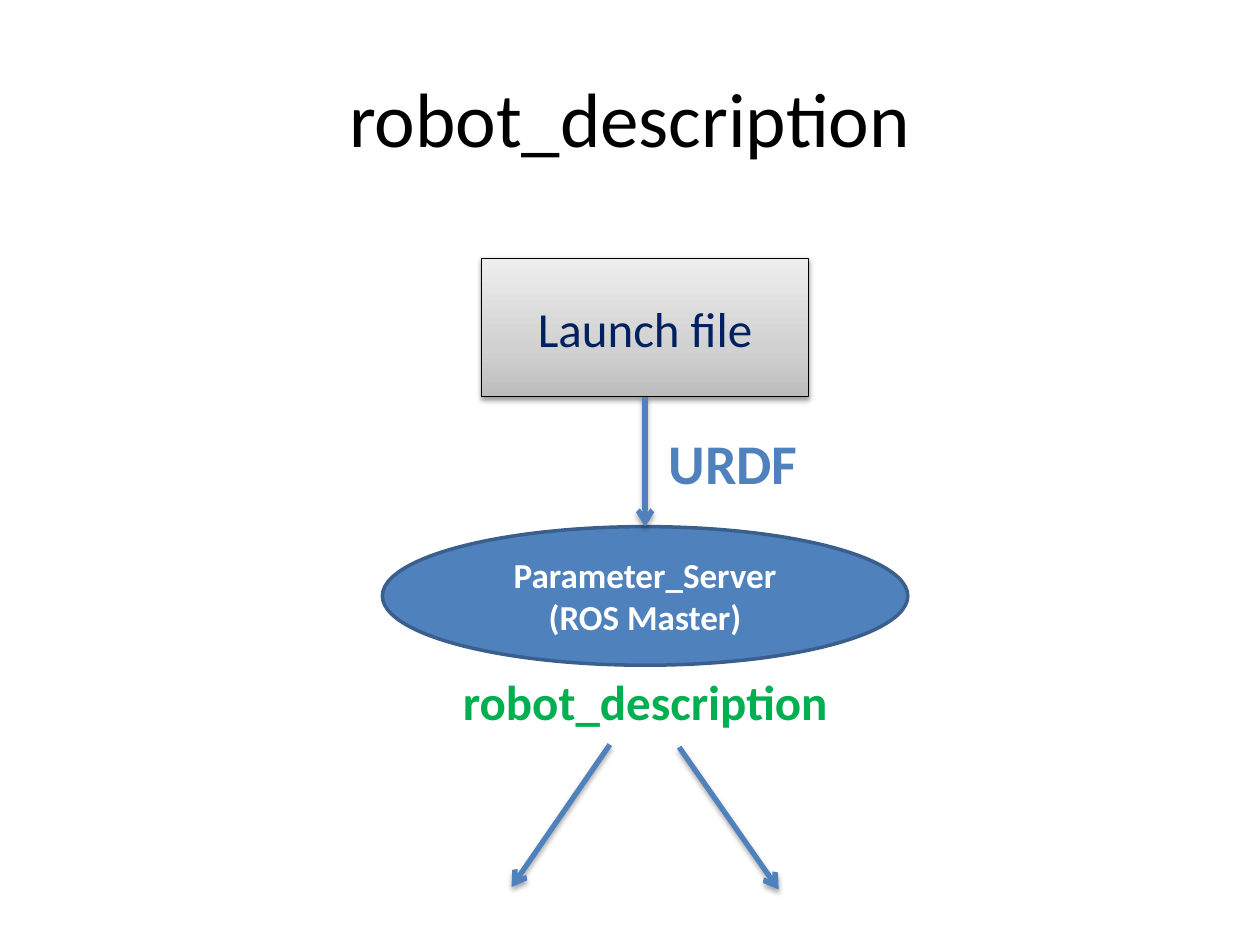
from dataclasses import dataclass

from lxml import etree
from pptx import Presentation
from pptx.dml.color import RGBColor
from pptx.enum.shapes import MSO_CONNECTOR, MSO_SHAPE
from pptx.enum.text import MSO_ANCHOR, MSO_AUTO_SIZE, PP_ALIGN
from pptx.oxml.ns import qn
from pptx.util import Inches, Pt

CENTER, MIDDLE = PP_ALIGN.CENTER, MSO_ANCHOR.MIDDLE
RECTANGLE, OVAL = MSO_SHAPE.RECTANGLE, MSO_SHAPE.OVAL
STRAIGHT = MSO_CONNECTOR.STRAIGHT
TOP_SITE, BOTTOM_SITE = 0, 2


@dataclass(frozen=True)
class Theme:
    font: str = "Calibri"
    black: str = "000000"
    white: str = "FFFFFF"
    navy: str = "002060"
    blue: str = "4F81BD"
    blue_edge: str = "3A5F8C"
    green: str = "00B050"
    title_size: int = 44
    urdf_size: int = 32
    label_size: int = 28
    server_size: int = 20
    arrow_width: int = 3


THEME = Theme()
WIDTH, HEIGHT = 10, 7.5
AXIS = 5.12
NODE_HEIGHT = 1.1
TITLE = "robot_description"
LAUNCH = ["Launch file"]
SERVER = ["Parameter_Server", "(ROS Master)"]
LAUNCH_STOPS = [(0, "BDBDBD"), (35, "D1D1D1"), (100, "EEEEEE")]
LABELS = [
    ("robot_description", AXIS, 5.28, 3.39, 0.57, THEME.label_size, THEME.green),
    ("URDF", AXIS + 0.7, 3.35, 1.66, 0.64, THEME.urdf_size, THEME.blue),
]
BRANCHES = [((4.84, 5.91), (4.06, 7.04)), ((5.39, 5.93), (6.18, 7.06))]


def color(value):
    return RGBColor.from_string(value)


def centered(center, top, width, height):
    return [Inches(value) for value in (center - width / 2, top, width, height)]


def write(frame, lines, size, ink, bold=False):
    frame.word_wrap = True
    frame.text = "\n".join(lines)
    for para in frame.paragraphs:
        para.alignment = CENTER
        para.font.name = THEME.font
        para.font.size = Pt(size)
        para.font.bold = bold
        para.font.color.rgb = color(ink)


def add_node(slide, kind, lines, top, width, size, ink, edge, edge_width, bold=False):
    node = slide.shapes.add_shape(kind, *centered(AXIS, top, width, NODE_HEIGHT))
    node.line.color.rgb = color(edge)
    node.line.width = Pt(edge_width)
    node.shadow.inherit = False
    node.text_frame.vertical_anchor = MIDDLE
    write(node.text_frame, lines, size, ink, bold)
    return node


def add_value(parent, tag, **attributes):
    return etree.SubElement(parent, qn(tag), {name: str(value) for name, value in attributes.items()})


def add_shadow(effects, distance, opacity):
    shadow = add_value(effects, "a:outerShdw", blurRad=Pt(3.1), dist=Pt(distance), dir=90 * 60000, rotWithShape=0)
    ink = add_value(shadow, "a:srgbClr", val=THEME.black)
    add_value(ink, "a:alpha", val=opacity * 1000)


def fill_gradient(shape, stops):
    shape.fill.gradient()
    shape.fill.gradient_angle = 90
    stop_list = shape.element.spPr.find(qn("a:gradFill")).find(qn("a:gsLst"))
    for old_stop in list(stop_list):
        stop_list.remove(old_stop)
    for position, value in stops:
        add_value(add_value(stop_list, "a:gs", pos=position * 1000), "a:srgbClr", val=value)


def add_arrow(slide, start, end):
    arrow = slide.shapes.add_connector(STRAIGHT, *[Inches(value) for value in (*start, *end)])
    arrow.line.color.rgb = color(THEME.blue)
    arrow.line.width = Pt(THEME.arrow_width)
    properties = arrow.element.spPr
    add_value(properties.find(qn("a:ln")), "a:tailEnd", type="arrow")
    add_shadow(add_value(properties, "a:effectLst"), 1.8, 35)
    return arrow


def main():
    deck = Presentation()
    deck.slide_width, deck.slide_height = Inches(WIDTH), Inches(HEIGHT)
    slide = deck.slides.add_slide(deck.slide_layouts[5])

    title = slide.shapes.title
    title.left, title.top, title.width, title.height = centered(WIDTH / 2, 0.3, 9, 1.25)
    title.text_frame.vertical_anchor = MIDDLE
    write(title.text_frame, [TITLE], THEME.title_size, THEME.black)

    launch = add_node(slide, RECTANGLE, LAUNCH, 2.05, 2.6, THEME.label_size, THEME.navy, THEME.black, 0.75)
    fill_gradient(launch, LAUNCH_STOPS)
    add_shadow(launch.element.spPr.find(qn("a:effectLst")), 1.6, 38)

    server = add_node(slide, OVAL, SERVER, 4.18, 4.17, THEME.server_size, THEME.white, THEME.blue_edge, 2, True)
    server.fill.solid()
    server.fill.fore_color.rgb = color(THEME.blue)

    urdf_arrow = add_arrow(slide, (AXIS, 3.16), (AXIS, 4.18))
    urdf_arrow.begin_connect(launch, BOTTOM_SITE)
    urdf_arrow.end_connect(server, TOP_SITE)

    for text, center, top, width, height, size, ink in LABELS:
        box = slide.shapes.add_textbox(*centered(center, top, width, height))
        write(box.text_frame, [text], size, ink, True)
        box.text_frame.auto_size = MSO_AUTO_SIZE.SHAPE_TO_FIT_TEXT

    for start, end in BRANCHES:
        add_arrow(slide, start, end)

    deck.save("out.pptx")


if __name__ == "__main__":
    main()
